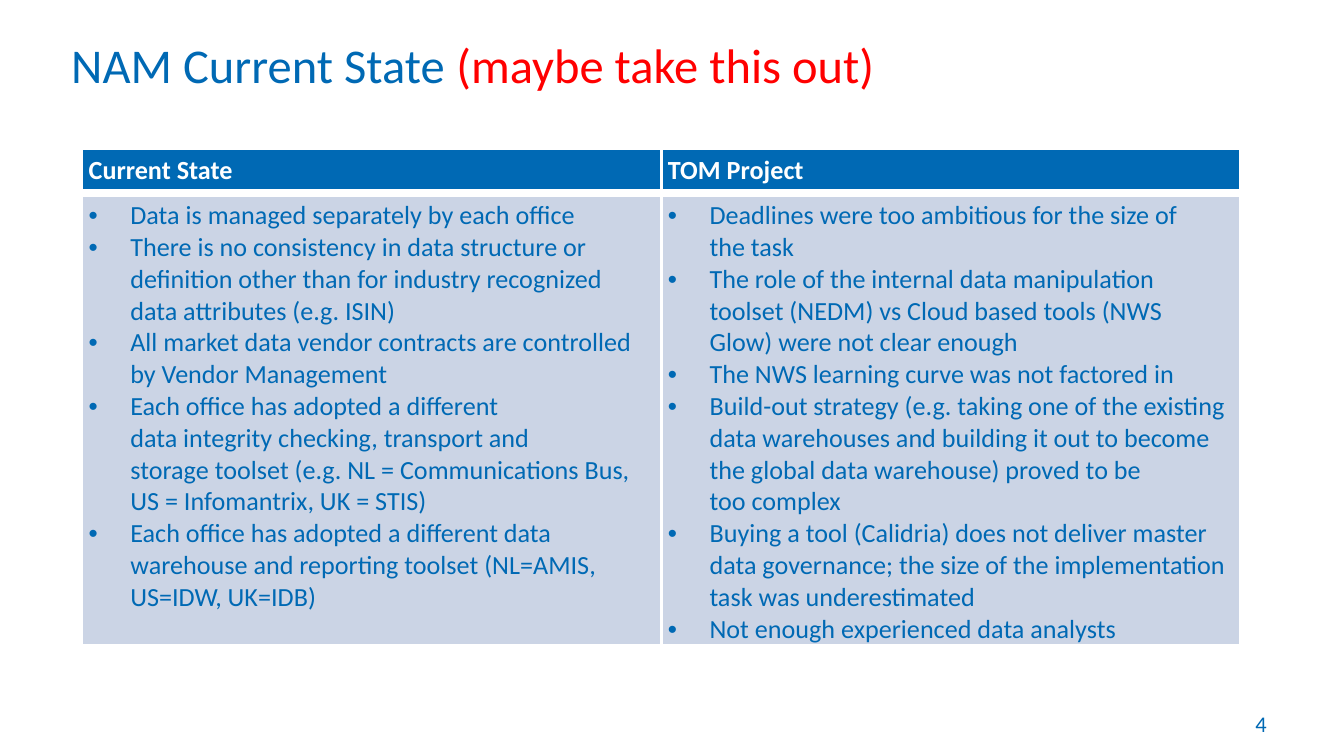
from dataclasses import dataclass

from lxml.etree import SubElement
from pptx import Presentation
from pptx.dml.color import RGBColor
from pptx.enum.text import MSO_ANCHOR, MSO_AUTO_SIZE, PP_ALIGN
from pptx.oxml.ns import qn
from pptx.util import Emu, Inches, Pt

COLORS = {"blue": "0069B4", "red": "FF0000", "white": "FFFFFF", "pale": "CBD4E5"}
FONT = "Calibri"
WIDTH = Inches(10)
HEIGHT = Emu(WIDTH * 9 // 16)
THIN, THICK = 1.75, 5.22
CELL_MARGIN, BULLET_INDENT = Inches(0.05), Inches(0.31)
TIE, NO_BREAK_SPACE = "~", chr(160)


@dataclass
class Area:
    """A rectangle given in shares of the slide's size."""
    left: float
    top: float
    width: float
    height: float

    def box(self) -> tuple:
        return (Emu(int(self.left * WIDTH)), Emu(int(self.top * HEIGHT)),
                Emu(int(self.width * WIDTH)), Emu(int(self.height * HEIGHT)))


@dataclass
class Topic:
    heading: str
    points: list[str]


TITLE_AREA = Area(0.053, 0.048, 0.895, 0.075)
TABLE_AREA = Area(0.061, 0.196, 0.862, 0.658)
NUMBER_AREA = Area(0.904, 0.933, 0.081, 0.053)
ROW_HEIGHTS = (0.32, 3.02)

# A tie (~) stands for a no-break space that keeps two words on one line
TOPICS = [
    Topic("Current State", [
        "Data is managed separately by each office",
        "There is no consistency in data~structure or definition other than "
        "for~industry~recognized data~attributes (e.g.~ISIN)",
        "All market data vendor contracts~are~controlled by~Vendor Management",
        "Each office has adopted a different data~integrity~checking, transport and "
        "storage~toolset (e.g. NL =~Communications Bus, US =~Infomantrix, UK = STIS)",
        "Each office has adopted a different data warehouse and reporting toolset "
        "(NL=AMIS, US=IDW, UK=IDB)",
    ]),
    Topic("TOM Project", [
        "Deadlines were too ambitious for the~size of the~task",
        "The role of the internal data manipulation toolset~(NEDM) vs Cloud based "
        "tools (NWS Glow)~were not~clear enough",
        "The NWS learning curve was not factored in",
        "Build-out strategy (e.g. taking one of the existing data~warehouses and "
        "building it out to become the~global~data warehouse) proved to be "
        "too~complex~",
        "Buying a tool (Calidria) does not~deliver master data governance; the~size "
        "of the~implementation task was~underestimated",
        "Not enough experienced data~analysts",
    ]),
]


def rgb(color: str) -> RGBColor:
    return RGBColor.from_string(COLORS[color])


def tied(text: str) -> str:
    return text.replace(TIE, NO_BREAK_SPACE)


def format_run(run, size: float, color: str, bold: bool = False) -> None:
    run.font.name = FONT
    run.font.size = Pt(size)
    run.font.bold = bold
    run.font.color.rgb = rgb(color)


def add_bullet(paragraph) -> None:
    properties = paragraph._p.get_or_add_pPr()
    properties.set("marL", str(BULLET_INDENT))
    properties.set("indent", str(-BULLET_INDENT))
    SubElement(properties, qn("a:buFont"), typeface="Arial")
    SubElement(properties, qn("a:buChar"), char="•")


def add_borders(cell, top: float, bottom: float) -> None:
    properties = cell._tc.get_or_add_tcPr()
    for side, weight in zip("LRTB", (THIN, THIN, top, bottom)):
        line = SubElement(properties, qn(f"a:ln{side}"), w=str(Pt(weight)))
        fill = SubElement(line, qn("a:solidFill"))
        SubElement(fill, qn("a:srgbClr"), val=COLORS["white"])


def fill_cell(cell, lines: list[str], is_header: bool) -> None:
    add_borders(cell, *((THIN, THICK) if is_header else (THICK, THIN)))
    cell.fill.solid()
    cell.fill.fore_color.rgb = rgb("blue" if is_header else "pale")
    cell.margin_left = cell.margin_right = CELL_MARGIN
    cell.margin_top = cell.margin_bottom = CELL_MARGIN
    cell.text_frame.text = tied("\n".join(lines))
    for paragraph in cell.text_frame.paragraphs:
        if not is_header:
            add_bullet(paragraph)
        format_run(paragraph.runs[0], 14, "white" if is_header else "blue", is_header)


def add_title(slide) -> None:
    title = slide.shapes.title
    title.left, title.top, title.width, title.height = TITLE_AREA.box()
    frame = title.text_frame
    frame.auto_size = MSO_AUTO_SIZE.NONE
    frame.vertical_anchor = MSO_ANCHOR.BOTTOM
    frame.margin_left = frame.margin_right = frame.margin_top = frame.margin_bottom = 0
    paragraph = frame.paragraphs[0]
    paragraph.text = tied("NAM Current State~")
    paragraph.add_run().text = "(maybe take this out)"
    paragraph.alignment = PP_ALIGN.LEFT
    paragraph.line_spacing = Pt(29)
    for run, color in zip(paragraph.runs, ("blue", "red")):
        format_run(run, 26, color)


def add_topics(slide) -> None:
    table_frame = slide.shapes.add_table(2, len(TOPICS), *TABLE_AREA.box())
    table = table_frame.table
    table.horz_banding = False
    for row, height in zip(table.rows, ROW_HEIGHTS):
        row.height = Inches(height)
    # Changing the rows shrinks the frame, so its height is set again
    table_frame.height = TABLE_AREA.box()[3]
    for column, topic in enumerate(TOPICS):
        fill_cell(table.cell(0, column), [topic.heading], True)
        fill_cell(table.cell(1, column), topic.points, False)


def add_page_number(slide, number: str) -> None:
    frame = slide.shapes.add_textbox(*NUMBER_AREA.box()).text_frame
    frame.word_wrap = True
    frame.vertical_anchor = MSO_ANCHOR.BOTTOM
    frame.margin_left = Inches(0.3)
    frame.margin_top = frame.margin_bottom = Inches(0.06)
    frame.text = number
    frame.paragraphs[0].line_spacing = 0.9
    format_run(frame.paragraphs[0].runs[0], 12, "blue")


def main() -> None:
    presentation = Presentation()
    presentation.slide_width, presentation.slide_height = WIDTH, HEIGHT
    slide = presentation.slides.add_slide(presentation.slide_layouts[5])
    add_page_number(slide, "4")
    add_title(slide)
    add_topics(slide)
    presentation.save("out.pptx")


if __name__ == "__main__":
    main()
